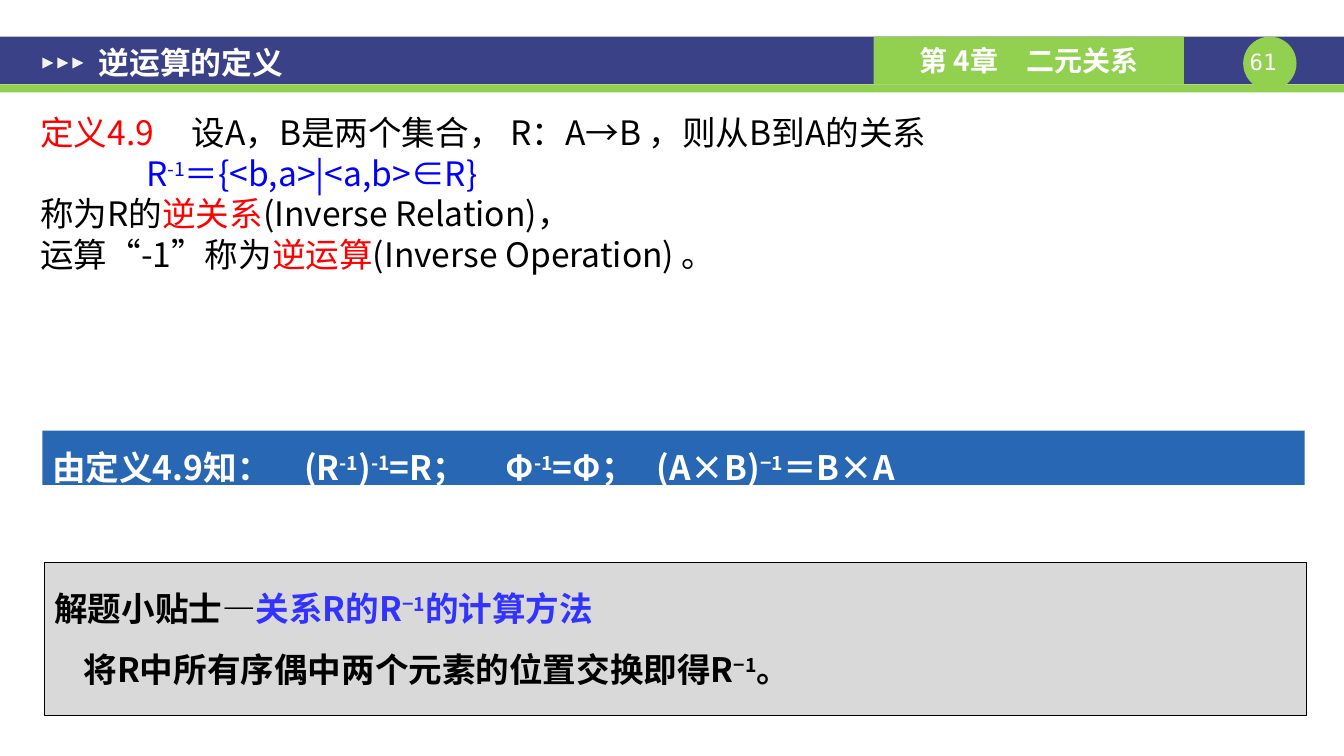
from dataclasses import dataclass
from lxml.etree import SubElement
from pptx import Presentation
from pptx.dml.color import RGBColor
from pptx.enum.shapes import MSO_SHAPE as Shape
from pptx.enum.text import MSO_ANCHOR as Anchor, PP_ALIGN as Align
from pptx.oxml.ns import qn
from pptx.util import Inches, Pt


@dataclass(frozen=True)
class Theme:
    font: str = "Noto Sans CJK SC"
    mono: str = "DejaVu Sans Mono"
    navy: str = "3A4187"
    green: str = "92D050"
    banner: str = "1157AB"
    tip: str = "D9D9D9"
    arrow: str = "F2F2F2"
    white: str = "FFFFFF"
    black: str = "000000"
    red: str = "FF0000"
    blue: str = "0000FF"
    violet: str = "3333FF"
    body_size: int = 24
    title_size: int = 22
    chapter_size: int = 20
    page_size: int = 16


theme = Theme()
WIDTH, HEIGHT = 13.34, 7.5

# Content: a paragraph is a list of (text, colour); "^" toggles superscript
TITLE = [[("逆运算的定义", theme.white)]]
CHAPTER = [[("第 4章　二元关系", theme.white)]]
PAGE = [[("61 ", theme.white)]]
DEFINITION = [
    [("定义4.9", theme.red), ("\t设A，B是两个集合， R：A→B ，则从B到A的关系", theme.black)],
    [("R^-1^＝{<b,a>|<a,b>∈R}", theme.blue)],
    [("称为R的", theme.black), ("逆关系", theme.red), ("(Inverse Relation)，", theme.black)],
    [("运算“-1”称为", theme.black), ("逆运算", theme.red),
     ("(Inverse Operation) 。", theme.black)],
]
CONSEQUENCE = [[("由定义4.9知：\t(R^-1^)^-1^=R；\tΦ^-1^=Φ；\t(A×B)^−1^＝B×A", theme.white)]]
TIP = [
    [("解题小贴士—", theme.black), ("关系R的R^−1^的计算方法", theme.violet)],
    [("将R中所有序偶中两个元素的位置交换即得R^−1^。", theme.black)],
]

# Places: left, top, width, height in percent of the slide
HEADER_TOP, HEADER_HEIGHT = 4.85, 6.3
HEADER = (0, HEADER_TOP, 100, HEADER_HEIGHT)
STRIPE = (0, HEADER_TOP + HEADER_HEIGHT, 100, 1.07)
BADGE = (92.5, HEADER_TOP, 3.97, 7.07)
PAGE_BOX = (92.5, 6.4, 3.97, 3.6)
CHAPTER_BOX = (65, HEADER_TOP, 23.09, HEADER_HEIGHT)
ARROW, ARROW_STEP, ARROW_COUNT = (3.15, 7.6, 0.82, 1.47), 1.12, 3
TITLE_BOX = (6.37, 5.33, 43.48, 5.87)
DEFINITION_BOX = (3, 14.8, 91.98, 42.4)
CONSEQUENCE_BOX = (3.15, 56.95, 93.93, 7.2)
TIP_BOX = (3.3, 74.4, 93.93, 20.27)


def place(box):
    sides = (WIDTH, HEIGHT, WIDTH, HEIGHT)
    return [Inches(side * share / 100) for side, share in zip(sides, box)]


def color(value):
    return RGBColor.from_string(value)


def add_panel(slide, box, fill, preset=Shape.RECTANGLE, line=None, alpha=None):
    shape = slide.shapes.add_shape(preset, *place(box))
    shape.shadow.inherit = False
    shape.fill.solid()
    shape.fill.fore_color.rgb = color(fill)
    if alpha:
        tint = shape.fill._xPr.find(qn("a:solidFill"))[0]
        SubElement(tint, qn("a:alpha"), val=str(alpha * 1000))
    if line:
        shape.line.color.rgb = color(line)
        shape.line.width = Pt(0.75)
    else:
        shape.line.fill.background()
    return shape


def add_run(paragraph, text, tint, raised, size, bold, font):
    run = paragraph.add_run()
    run.text = text
    for name, value in {"size": Pt(size), "bold": bold, "name": font}.items():
        setattr(run.font, name, value)
    run.font.color.rgb = color(tint)
    properties = run._r.get_or_add_rPr()
    SubElement(properties, qn("a:ea"), typeface=font)
    if raised:
        properties.set("baseline", "30000")


def write(shape, paragraphs, size=theme.body_size, bold=True, font=theme.font,
          align=Align.LEFT, anchor=Anchor.TOP, insets=(0.1, 0.05),
          pitch=None, tabs=(), indents=None):
    frame = shape.text_frame
    across, down = map(Inches, insets)
    settings = {"word_wrap": True, "vertical_anchor": anchor,
                "margin_left": across, "margin_right": across,
                "margin_top": down, "margin_bottom": down}
    for name, value in settings.items():
        setattr(frame, name, value)
    for index, pieces in enumerate(paragraphs):
        paragraph = frame.paragraphs[0] if index == 0 else frame.add_paragraph()
        paragraph.alignment = align
        if pitch:
            paragraph.line_spacing = Pt(pitch)
        properties = paragraph._p.get_or_add_pPr()
        indent = (indents or {}).get(index, 0)
        properties.set("marL", str(Inches(indent)))
        properties.set("indent", "0")
        if tabs:
            stops = SubElement(properties, qn("a:tabLst"))
            for stop in tabs:
                SubElement(stops, qn("a:tab"), pos=str(Inches(stop)), algn="l")
        for text, tint in pieces:
            for part, chunk in enumerate(text.split("^")):
                if chunk:
                    add_run(paragraph, chunk, tint, part % 2 == 1, size, bold, font)


def main():
    presentation = Presentation()
    presentation.slide_width, presentation.slide_height = Inches(WIDTH), Inches(HEIGHT)
    slide = presentation.slides.add_slide(presentation.slide_layouts[6])

    def text_box(box):
        return slide.shapes.add_textbox(*place(box))

    # Header band
    add_panel(slide, HEADER, theme.navy)
    add_panel(slide, STRIPE, theme.green)
    add_panel(slide, BADGE, theme.green, Shape.OVAL)
    write(text_box(PAGE_BOX), PAGE, theme.page_size, bold=False, font=theme.mono,
          align=Align.CENTER, insets=(0, 0))
    write(add_panel(slide, CHAPTER_BOX, theme.green), CHAPTER, theme.chapter_size,
          align=Align.CENTER, anchor=Anchor.MIDDLE)
    left, *rest = ARROW
    for index in range(ARROW_COUNT):
        arrow = add_panel(slide, (left + index * ARROW_STEP, *rest), theme.arrow,
                          Shape.ISOSCELES_TRIANGLE)
        arrow.rotation = 90
    write(text_box(TITLE_BOX), TITLE, theme.title_size, anchor=Anchor.MIDDLE,
          insets=(0.13, 0.07))

    # Definition
    write(text_box(DEFINITION_BOX), DEFINITION, bold=False, insets=(0, 0),
          pitch=29, tabs=(1.52,), indents={1: 1.05})

    # Consequence banner
    write(add_panel(slide, CONSEQUENCE_BOX, theme.banner, alpha=90), CONSEQUENCE,
          pitch=37, tabs=(2.49, 4.78, 6.53))

    # Tip panel
    write(add_panel(slide, TIP_BOX, theme.tip, line=theme.black), TIP,
          pitch=43.6, indents={1: 0.29})

    presentation.save("out.pptx")


if __name__ == "__main__":
    main()
